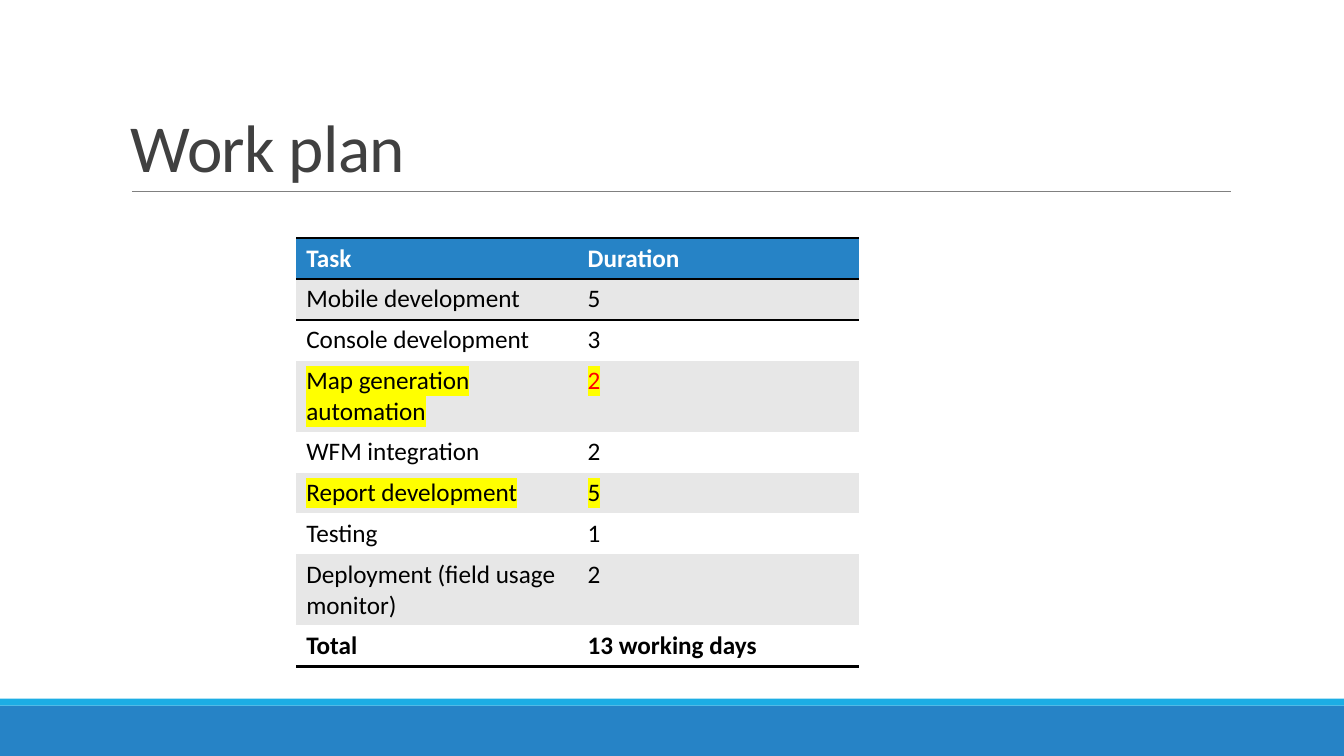
"""Build the work plan slide: title, task table and footer bars."""
from lxml.etree import SubElement
from pptx import Presentation
from pptx.dml.color import RGBColor
from pptx.enum.shapes import MSO_CONNECTOR as CONN, MSO_SHAPE as SHAPE
from pptx.enum.text import MSO_ANCHOR as ANCHOR
from pptx.oxml.ns import qn
from pptx.util import Pt


def rgb(value):
    return RGBColor.from_string(value)


def add_run(p, text, size, color, bold=False, highlight=None):
    r = p.add_run()
    r.text = text
    r.font.size = Pt(size)
    r.font.bold = bold
    r.font.color.rgb = rgb(color)
    if highlight:
        hl = SubElement(r.font._element, qn("a:highlight"))
        SubElement(hl, qn("a:srgbClr"), val=highlight)
    r.font.name = "Calibri"
    return r


prs = Presentation()
prs.slide_width, prs.slide_height = Pt(960), Pt(540)
s = prs.slides.add_slide(prs.slide_layouts[6])

for top, height, color in [(504, 36, "2683C6"), (499, 5, "1CADE4")]:
    sp = s.shapes.add_shape(SHAPE.RECTANGLE, 0, Pt(top), Pt(960), Pt(height))
    sp.shadow.inherit = False
    sp.fill.solid()
    sp.fill.fore_color.rgb = rgb(color)
    sp.line.fill.background()

rule = s.shapes.add_connector(CONN.STRAIGHT, Pt(94.3), Pt(136.8), Pt(879), Pt(136.8))
rule.line.color.rgb = rgb("808080")
rule.line.width = Pt(0.5)
SubElement(rule._element.spPr, qn("a:effectLst"))

title = s.shapes.add_textbox(Pt(86.4), Pt(22.5), Pt(792), Pt(114.2))
tf = title.text_frame
tf.word_wrap = True
tf.vertical_anchor = ANCHOR.BOTTOM
p = tf.paragraphs[0]
p.line_spacing = 0.85
r = add_run(p, "Work plan", 48, "404040")
r.font._element.set("spc", "-50")

ROW, TALL_ROW = 29.2, 50.8
BLACK, RED, YELLOW = "000000", "FF0000", "FFFF00"
tasks = [
    ("Task", "Duration", ROW),
    ("Mobile development", "5", ROW),
    ("Console development", "3", ROW),
    ("Map generation automation", "2", TALL_ROW),
    ("WFM integration", "2", ROW),
    ("Report development", "5", ROW),
    ("Testing", "1", ROW),
    ("Deployment (field usage monitor)", "2", TALL_ROW),
    ("Total", "13 working days", ROW),
]
highlighted = {"Map generation automation", "Report development"}
last = len(tasks) - 1
borders = {0: ["a:lnT", "a:lnB"], 1: ["a:lnT"], last: ["a:lnB"]}

frame = s.shapes.add_table(len(tasks), 2, Pt(211.6), Pt(170), Pt(402),
                           Pt(sum(height for *_, height in tasks)))
table = frame.table
table.first_row = table.horz_banding = False
style = table._tbl.tblPr.find(qn("a:tableStyleId"))
style.text = "{2D5ABB26-0587-4C30-8999-92F81FD0307C}"

for row, (task, duration, height) in enumerate(tasks):
    table.rows[row].height = Pt(height)
    fill = "2683C6" if row == 0 else "E7E7E7" if row % 2 else "FFFFFF"
    for col, text in enumerate([task, duration]):
        cell = table.cell(row, col)
        for side in borders.get(row, []):
            ln = SubElement(cell._tc.get_or_add_tcPr(), qn(side), w=str(Pt(2)))
            SubElement(SubElement(ln, qn("a:solidFill")), qn("a:srgbClr"), val=BLACK)
        cell.fill.solid()
        cell.fill.fore_color.rgb = rgb(fill)
        color = "FFFFFF" if row == 0 else BLACK
        if task == "Map generation automation" and col == 1:
            color = RED
        add_run(cell.text_frame.paragraphs[0], text, 18, color, row in (0, last),
                YELLOW if task in highlighted else None)

prs.save("out.pptx")
